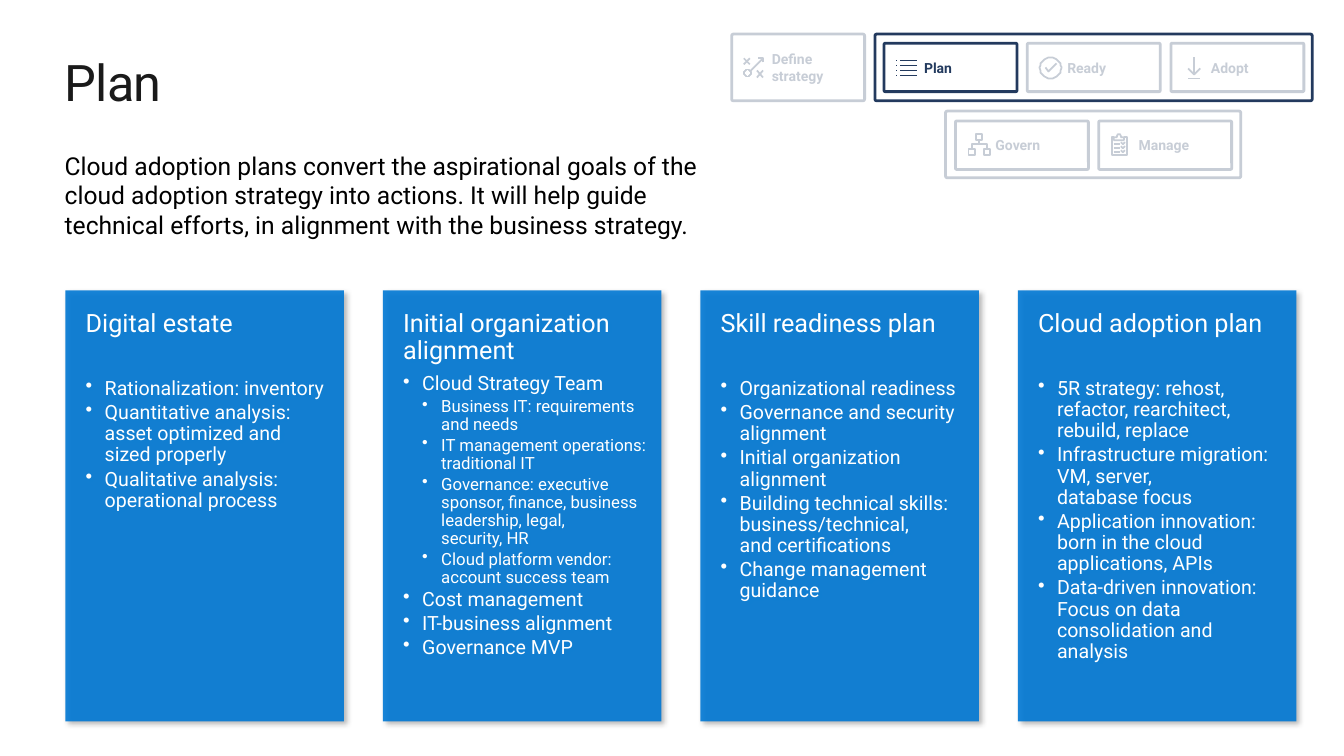
from math import cos, pi, sin

from lxml import etree
from pptx import Presentation
from pptx.dml.color import RGBColor
from pptx.enum import shapes, text
from pptx.oxml import ns
from pptx.util import Cm, Pt

NAVY = RGBColor(0x23, 0x3A, 0x5E)
BLUE = RGBColor(0x00, 0x78, 0xD4)
WHITE = RGBColor(0xFF, 0xFF, 0xFF)
BLACK = RGBColor(0x00, 0x00, 0x00)
TITLE_GREY = RGBColor(0x1A, 0x1A, 0x1A)
FONT = "Roboto"
ICON_UNIT = Cm(0.0254)


def circle(x, y, radius):
    """Return the points of a closed circular stroke."""
    return [(x + radius * cos(step * pi / 16), y + radius * sin(step * pi / 16))
            for step in range(33)]


def fill_translucent(shape, color, percent):
    shape.fill.solid()
    shape.fill.fore_color.rgb = color
    color_element = shape._element.spPr.find(".//" + ns.qn("a:srgbClr"))
    etree.SubElement(color_element, ns.qn("a:alpha"), val=str(percent * 1000))
    shape.line.fill.background()


presentation = Presentation()
presentation.slide_width = Cm(33.87)
presentation.slide_height = Cm(19.05)
slide = presentation.slides.add_slide(presentation.slide_layouts[5])

# Title and introduction
title = slide.shapes.title
title.left, title.top, title.width, title.height = Cm(1.63), Cm(1.27), Cm(30.6), Cm(1.55)
intro = slide.shapes.add_textbox(Cm(1.63), Cm(3.66), Cm(16.94), Cm(2.51))
for box, wording, size, color, right, edge in [
    (title, "Plan", 36, TITLE_GREY, 0, 0),
    (intro, "Cloud adoption plans convert the aspirational goals of the cloud adoption "
     "strategy into actions. It will help guide technical efforts, in alignment with "
     "the business strategy.", 17.6, BLACK, 0.25, 0.13),
]:
    frame = box.text_frame
    frame.word_wrap = True
    frame.margin_left, frame.margin_right = 0, Cm(right)
    frame.margin_top = frame.margin_bottom = Cm(edge)
    frame.text = wording
    paragraph = frame.paragraphs[0]
    paragraph.alignment = text.PP_ALIGN.LEFT
    font = paragraph.runs[0].font
    font.name, font.size, font.color.rgb = FONT, Pt(size), color
title.text_frame.paragraphs[0].runs[0]._r.get_or_add_rPr().set("spc", "-50")

# Stage map: icon strokes are measured from the corner of their box
ready_icon = [circle(23, 24.5, 10.5), [(18, 24), (21, 28), (29, 20)]]
plan_icon = [[(left, y), (right, y)]
             for y in (17, 22, 27, 32) for left, right in ((16, 33), (12, 13))]
adopt_icon = [[(29, 25), (23, 31), (17, 25)], [(23, 31), (23, 14)], [(17, 35), (29, 35)]]
strategy_icon = [
    [(18, 30), (12, 24)], [(18, 24), (12, 30)], [(31, 43), (25, 36)], [(31, 36), (25, 43)],
    circle(15.5, 38.5, 3.5), [(18, 37), (31, 24)], [(31, 28), (31, 24), (26, 24)],
]
manage_icon = [
    [(18, 16), (18, 15), (19, 13), (21, 13), (22, 15), (22, 16), (25, 16), (25, 19),
     (15, 19), (15, 16), (18, 16)],
    [(15, 16), (13, 16), (13, 34), (28, 34), (28, 16), (25, 16)],
]
for y in (23, 27, 31):
    manage_icon += [[(15, y), (21, y)], [(22, y - 2), (24, y), (26, y - 2)]]
govern_icon = [[(x, y), (x + 6, y), (x + 6, y + 6), (x, y + 6), (x, y)]
               for x, y in ((13, 28), (28, 28), (20, 13))]
govern_icon += [[(23, 19), (23, 23)], [(31, 28), (31, 23), (16, 23), (16, 28)]]

STAGE_WIDTH, STAGE_HEIGHT, FRAME_HEIGHT = 3.35, 1.22, 1.68
for label, left, top, width, height, icon in [
    ("", 22.05, 0.86, 11.02, FRAME_HEIGHT, []),
    ("Ready", 25.89, 1.09, STAGE_WIDTH, STAGE_HEIGHT, ready_icon),
    ("Plan", 22.28, 1.09, STAGE_WIDTH, STAGE_HEIGHT, plan_icon),
    ("Adopt", 29.51, 1.09, STAGE_WIDTH, STAGE_HEIGHT, adopt_icon),
    ("Define strategy", 18.44, 0.86, STAGE_WIDTH, FRAME_HEIGHT, strategy_icon),
    ("", 23.83, 2.8, 7.44, FRAME_HEIGHT, []),
    ("Manage", 27.69, 3.05, STAGE_WIDTH, STAGE_HEIGHT, manage_icon),
    ("Govern", 24.08, 3.05, STAGE_WIDTH, STAGE_HEIGHT, govern_icon),
]:
    stage = slide.shapes.add_shape(shapes.MSO_SHAPE.ROUNDED_RECTANGLE,
                                   Cm(left), Cm(top), Cm(width), Cm(height))
    stage.adjustments[0] = 0.025
    stage.shadow.inherit = False
    stage.fill.solid()
    stage.fill.fore_color.rgb = WHITE
    stage.line.color.rgb, stage.line.width = NAVY, Pt(2)
    if not label:
        continue
    frame = stage.text_frame
    frame.word_wrap = True
    frame.margin_left = Cm(1)
    frame.margin_right = frame.margin_top = frame.margin_bottom = 0
    frame.text = label
    frame.paragraphs[0].alignment = text.PP_ALIGN.LEFT
    font = frame.paragraphs[0].runs[0].font
    font.name, font.size, font.bold, font.color.rgb = FONT, Pt(10), True, NAVY

    builder = slide.shapes.build_freeform(*icon[0][0], scale=ICON_UNIT)
    for stroke in icon:
        builder.move_to(*stroke[0])
        builder.add_line_segments(stroke[1:], close=False)
    drawing = builder.convert_to_shape(Cm(left), Cm(top))
    drawing.shadow.inherit = False
    drawing.fill.background()
    drawing.line.color.rgb, drawing.line.width = NAVY, Pt(1.25)

# Veils fade every stage except Plan
for left, top, width, height in [
    (25.78, 0.94, 7.21, 1.47), (23.65, 2.64, 7.87, 2.06), (18.24, 0.66, 3.68, 2.06),
]:
    veil = slide.shapes.add_shape(shapes.MSO_SHAPE.RECTANGLE,
                                  Cm(left), Cm(top), Cm(width), Cm(height))
    veil.shadow.inherit = False
    fill_translucent(veil, WHITE, 75)

# Cards: heading, space after it, then bullets as (level, wording)
CARDS = [
    ("Digital estate", 29, [
        (1, "Rationalization: inventory"),
        (1, "Quantitative analysis:\nasset optimized and\nsized properly"),
        (1, "Qualitative analysis: operational process"),
    ]),
    ("Initial organization alignment", 6.3, [
        (1, "Cloud Strategy Team"),
        (2, "Business IT: requirements\nand needs"),
        (2, "IT management operations: traditional IT"),
        (2, "Governance: executive\nsponsor, finance, business leadership, legal,\nsecurity, HR"),
        (2, "Cloud platform vendor: account success team"),
        (1, "Cost management"),
        (1, "IT-business alignment"),
        (1, "Governance MVP"),
    ]),
    ("Skill readiness plan", 29, [
        (1, "Organizational readiness"),
        (1, "Governance and security alignment"),
        (1, "Initial organization alignment"),
        (1, "Building technical skills: business/technical,\nand certifications"),
        (1, "Change management guidance"),
    ]),
    ("Cloud adoption plan", 29, [
        (1, "5R strategy: rehost, refactor, rearchitect, rebuild, replace"),
        (1, "Infrastructure migration: VM, server,\ndatabase focus"),
        (1, "Application innovation: born in the cloud applications, APIs"),
        (1, "Data-driven innovation: Focus on data consolidation and analysis"),
    ]),
]
SIZES = {0: 18, 1: 14, 2: 12}
for column, (heading, heading_gap, bullets) in enumerate(CARDS):
    card = slide.shapes.add_shape(shapes.MSO_SHAPE.RECTANGLE,
                                  Cm(1.65 + 8 * column), Cm(7.32), Cm(7.02), Cm(10.86))
    fill_translucent(card, BLUE, 90)
    card.shadow.inherit = False
    effects = card._element.spPr.find(ns.qn("a:effectLst"))
    shadow = etree.SubElement(effects, ns.qn("a:outerShdw"), blurRad=str(Pt(4)),
                              dist=str(Pt(3)), dir="2700000", algn="tl", rotWithShape="0")
    shadow_color = etree.SubElement(shadow, ns.qn("a:srgbClr"), val=str(BLACK))
    etree.SubElement(shadow_color, ns.qn("a:alpha"), val="30000")

    frame = card.text_frame
    frame.word_wrap = True
    frame.vertical_anchor = text.MSO_ANCHOR.TOP
    frame.margin_left = frame.margin_top = Cm(0.51)
    frame.margin_right, frame.margin_bottom = Cm(0.25), 0
    for level, wording in [(0, heading), *bullets]:
        paragraph = frame.add_paragraph() if level else frame.paragraphs[0]
        paragraph.text = wording
        if level:
            properties = paragraph._p.get_or_add_pPr()
            properties.set("marL", str(Cm(0.48 * level)))
            properties.set("indent", str(Cm(-0.48)))
            etree.SubElement(properties, ns.qn("a:buChar"), char="•")
        paragraph.level = level
        paragraph.alignment = text.PP_ALIGN.LEFT
        paragraph.line_spacing = 0.9
        paragraph.space_after = Pt(SIZES[level] * 0.15 if level else heading_gap)
        for run in paragraph.runs:
            font = run.font
            font.name, font.size, font.color.rgb = FONT, Pt(SIZES[level]), WHITE

presentation.save("out.pptx")
